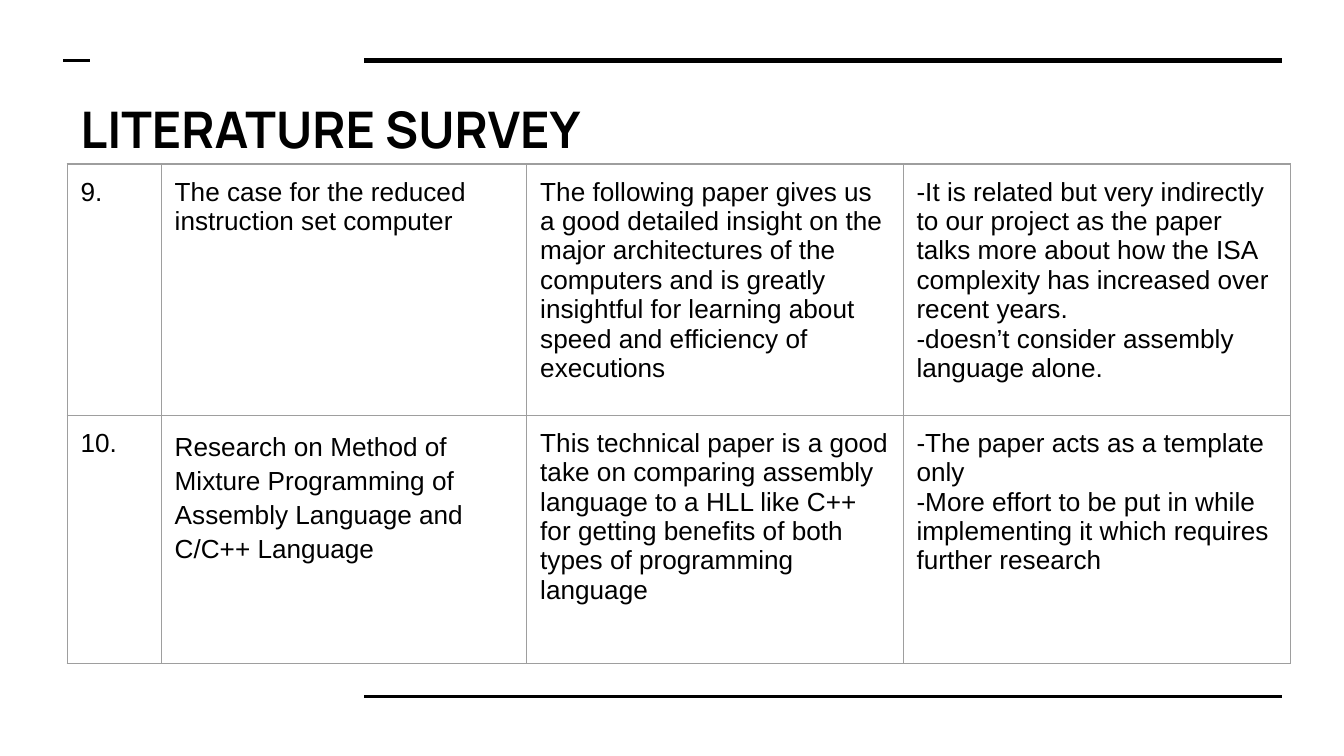
from lxml import etree
from pptx import Presentation
from pptx.dml.color import RGBColor
from pptx.enum.shapes import MSO_CONNECTOR
from pptx.enum.text import MSO_ANCHOR
from pptx.oxml.ns import qn
from pptx.util import Inches, Pt

STRAIGHT = MSO_CONNECTOR.STRAIGHT
TOP = MSO_ANCHOR.TOP
COLORS = {"ink": "000000", "grid": "9E9E9E", "paper": "FFFFFF"}
INSET = Inches(0.1)
COL_WIDTHS = [0.7, 2.72, 2.8, 2.88]
ROW_HEIGHTS = [1.87, 1.85]
PAPERS = [
    [
        ["9."],
        ["The case for the reduced instruction set computer"],
        ["The following paper gives us a good detailed insight on the major "
         "architectures of the computers and is greatly insightful for learning "
         "about speed and efficiency of executions"],
        ["-It is related but very indirectly to our project as the paper talks "
         "more about how the ISA complexity has increased over recent years.",
         "-doesn’t consider assembly language alone."],
    ],
    [
        ["10."],
        ["Research on Method of Mixture Programming of Assembly Language and "
         "C/C++ Language"],
        ["This technical paper is a good take on comparing assembly language to "
         "a HLL like C++ for getting benefits of both types of programming "
         "language"],
        ["-The paper acts as a template only",
         "-More effort to be put in while implementing it which requires "
         "further research"],
    ],
]


def rgb(name):
    """Return the named colour."""
    return RGBColor.from_string(COLORS[name])


def add_run(p, text, font, size, bold=False):
    """Append a styled run to a paragraph."""
    r = p.add_run()
    r.text = text
    r.font.name, r.font.size, r.font.bold = font, Pt(size), bold
    r.font.color.rgb = rgb("ink")


def add_rule(s, x, y, width, weight):
    """Draw a horizontal rule."""
    line = s.shapes.add_connector(
        STRAIGHT, Inches(x), Inches(y), Inches(x + width), Inches(y))
    line.line.color.rgb = rgb("ink")
    line.line.width = Pt(weight)
    etree.SubElement(line._element.spPr, qn("a:effectLst"))


def add_rules(s, left, top, right, bottom):
    """Draw the short tick and the two long rules that frame the slide."""
    inner = left + 2.24
    add_rule(s, inner, top, right - inner, 3)
    add_rule(s, inner, bottom, right - inner, 1.5)
    add_rule(s, left, top, 0.2, 1.5)


def add_title(s, text, x, y, w, h):
    """Place the slide heading."""
    tf = s.shapes.add_textbox(Inches(x), Inches(y), Inches(w), Inches(h)).text_frame
    tf.word_wrap = True
    tf.vertical_anchor = TOP
    tf.margin_left = tf.margin_right = tf.margin_top = tf.margin_bottom = INSET
    add_run(tf.paragraphs[0], text, "Manrope", 27, True)


def add_borders(cell):
    """Give a cell thin grey borders, placed ahead of its fill."""
    tc_pr = cell._tc.get_or_add_tcPr()
    for i, side in enumerate(("a:lnL", "a:lnR", "a:lnT", "a:lnB")):
        ln = etree.Element(qn(side), w=str(Pt(0.75)))
        fill = etree.SubElement(ln, qn("a:solidFill"))
        etree.SubElement(fill, qn("a:srgbClr"), val=COLORS["grid"])
        tc_pr.insert(i, ln)


def fill_cell(cell, paragraphs):
    """Write the paragraphs of one cell and style it."""
    cell.fill.background()
    cell.vertical_anchor = TOP
    cell.margin_left = cell.margin_right = INSET
    cell.margin_top = cell.margin_bottom = INSET
    add_borders(cell)
    tf = cell.text_frame
    for i, text in enumerate(paragraphs):
        p = tf.add_paragraph() if i else tf.paragraphs[0]
        add_run(p, text, "Arial", 14)


def add_survey(s, x, y):
    """Build the table of surveyed papers."""
    table = s.shapes.add_table(
        len(ROW_HEIGHTS), len(COL_WIDTHS), Inches(x), Inches(y),
        Inches(sum(COL_WIDTHS)), Inches(sum(ROW_HEIGHTS))).table
    table.first_row = table.horz_banding = False
    for column, width in zip(table.columns, COL_WIDTHS):
        column.width = Inches(width)
    for row, height, paper in zip(table.rows, ROW_HEIGHTS, PAPERS):
        row.height = Inches(height)
        for cell, paragraphs in zip(row.cells, paper):
            fill_cell(cell, paragraphs)
    p = table.cell(1, 1).text_frame.paragraphs[0]
    p.line_spacing, p.space_before = 1.15, Pt(18)


def main():
    """Build and save the slide."""
    prs = Presentation()
    prs.slide_width = Inches(10)
    prs.slide_height = prs.slide_width * 9 // 16
    s = prs.slides.add_slide(prs.slide_layouts[6])
    s.background.fill.solid()
    s.background.fill.fore_color.rgb = rgb("paper")
    add_rules(s, 0.47, 0.45, 9.54, 5.18)
    add_title(s, "LITERATURE SURVEY", 0.5, 0.63, 9.03, 0.69)
    add_survey(s, 0.5, 1.22)
    prs.save("out.pptx")


if __name__ == "__main__":
    main()
